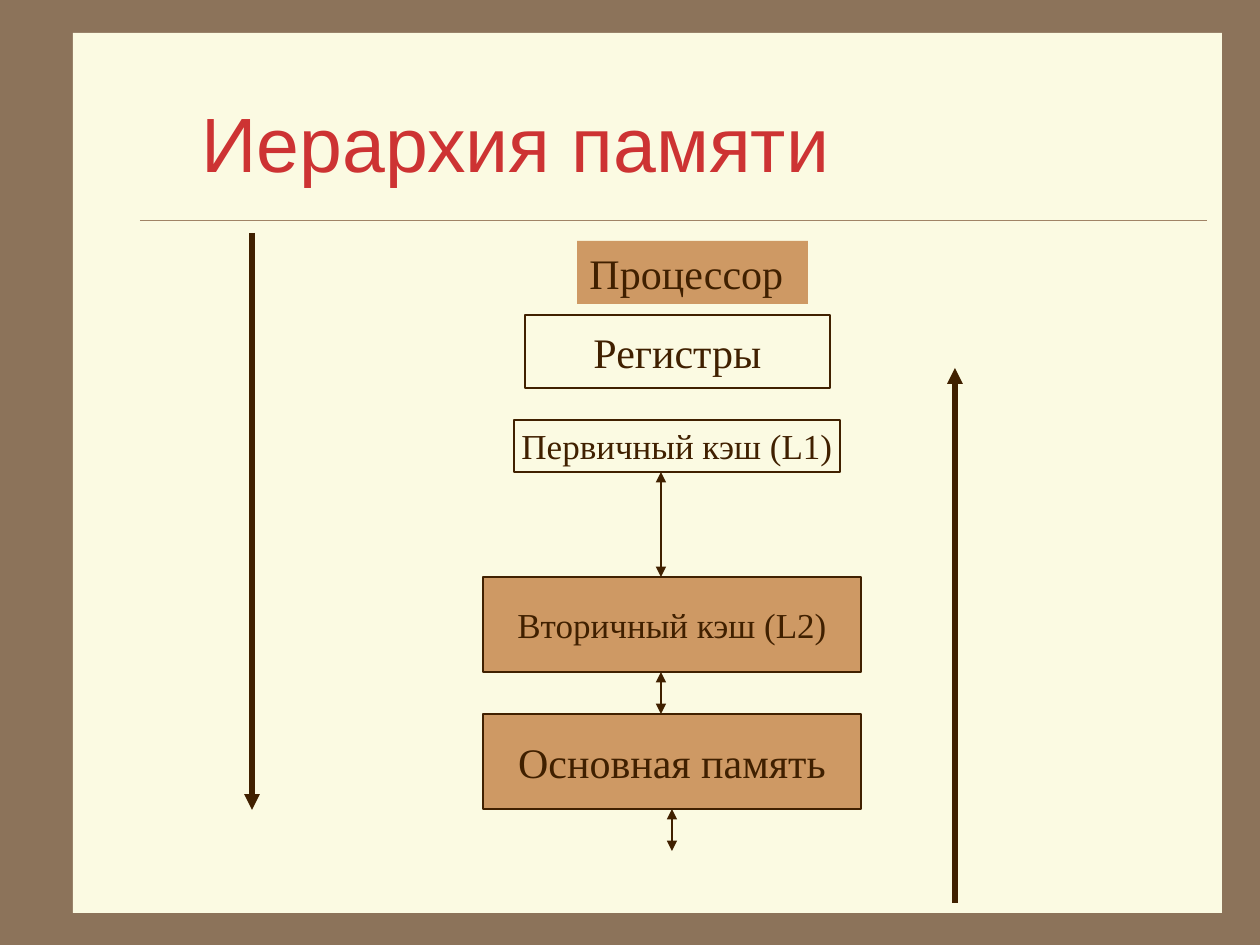
from lxml import etree
from pptx import Presentation
from pptx.dml.color import RGBColor
from pptx.enum.shapes import MSO_CONNECTOR, MSO_SHAPE
from pptx.enum.text import MSO_ANCHOR, PP_ALIGN
from pptx.oxml.ns import qn
from pptx.util import Emu, Pt

# Content: lengths in px, 126 to the inch
HUES = {"back": "8C735A", "page": "FBFAE2", "rule": "A08366",
        "title": "CD3333", "tan": "CE9964", "ink": "402000"}
TITLE = "Иерархия памяти"
# text, (left, top, width, height), fill, text size, outlined, centred
LEVELS = [
    ("Процессор", (577, 241, 231, 63), "tan", 24, False, False),
    ("Регистры", (525, 315, 305, 73), "page", 24, True, True),
    ("Первичный кэш (L1)", (514, 420, 326, 52), "page", 20, True, True),
    ("Вторичный кэш (L2)", (483, 577, 378, 95), "tan", 20, True, True),
    ("Основная память", (483, 714, 378, 95), "tan", 24, True, True),
]
# x, start y, end y, line width, arrowheads
ARROWS = [
    (252, 233, 810, 3, ["tail"]),
    (955, 903, 368, 3, ["tail"]),
    (661, 472, 577, 0.75, ["head", "tail"]),
    (661, 672, 714, 0.75, ["head", "tail"]),
    (672, 809, 851, 0.75, ["head", "tail"]),
]


def px(num):
    return Emu(num * 914400 // 126)


def hue(name):
    return RGBColor.from_string(HUES[name])


def write(shape, text, size, font="Times New Roman", color="ink",
          align=PP_ALIGN.CENTER, wrap=False):
    frame = shape.text_frame
    frame.word_wrap = wrap
    frame.vertical_anchor = MSO_ANCHOR.MIDDLE
    para = frame.paragraphs[0]
    para.alignment = align
    run = para.add_run()
    run.text = text
    run.font.size = Pt(size)
    run.font.name = font
    run.font.color.rgb = hue(color)


def box(area, fill, edge=False):
    shape = slide.shapes.add_shape(MSO_SHAPE.RECTANGLE, *map(px, area))
    shape.shadow.inherit = False
    shape.fill.solid()
    shape.fill.fore_color.rgb = hue(fill)
    if edge:
        shape.line.color.rgb = hue("ink")
        shape.line.width = Pt(0.75)
    else:
        shape.line.fill.background()
    return shape


def line(start, end, width, color="ink", heads=()):
    link = slide.shapes.add_connector(
        MSO_CONNECTOR.STRAIGHT, *map(px, start + end))
    link.line.color.rgb = hue(color)
    link.line.width = Pt(width)
    stroke = link.line._get_or_add_ln()
    for head in heads:
        etree.SubElement(stroke, qn(f"a:{head}End"), type="triangle")
    etree.SubElement(link._element.spPr, qn("a:effectLst"))


deck = Presentation()
deck.slide_width, deck.slide_height = px(1260), px(945)
slide = deck.slides.add_slide(deck.slide_layouts[5])

# Background page and rule
slide.background.fill.solid()
slide.background.fill.fore_color.rgb = hue("back")
box((73, 33, 1149, 880), "page")
line((140, 220), (1207, 220), 0.25, color="rule")

# Title, brought in front of the page
title = slide.shapes.title
title.left, title.top, title.width, title.height = map(px, (189, 63, 1071, 157))
write(title, TITLE, 44, font="Arial", color="title",
      align=PP_ALIGN.LEFT, wrap=True)
slide.shapes._spTree.append(title._element)

# Memory levels
for text, area, fill, size, edge, mid in LEVELS:
    write(box(area, fill, edge), text, size, wrap=not mid,
          align=PP_ALIGN.CENTER if mid else PP_ALIGN.LEFT)

# Arrows
for x, top, end, width, heads in ARROWS:
    line((x, top), (x, end), width, heads=heads)

deck.save("out.pptx")
